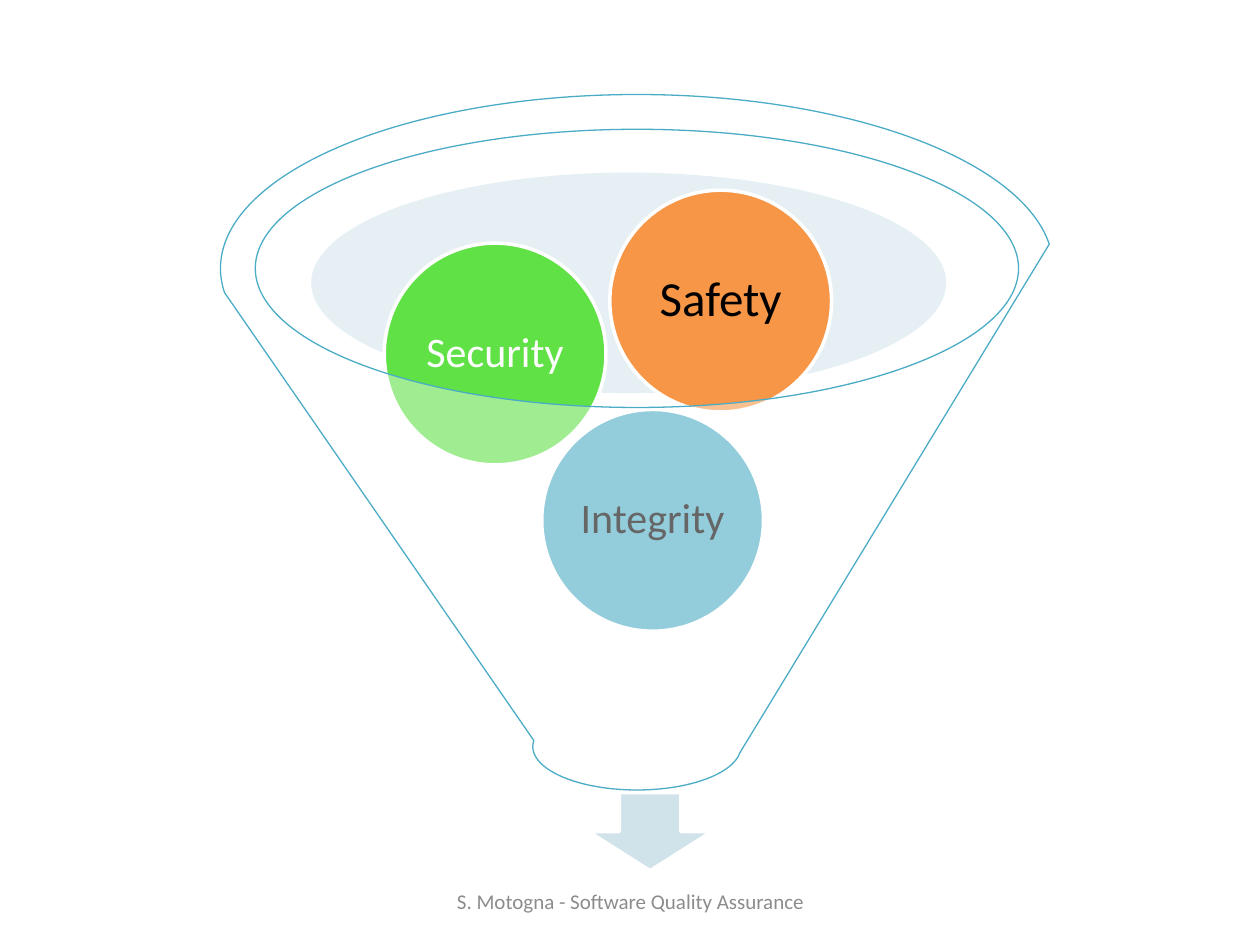
from lxml import etree
from pptx import Presentation
from pptx.dml.color import RGBColor
from pptx.enum.shapes import MSO_SHAPE as Shape
from pptx.enum.text import MSO_ANCHOR as Anchor, PP_ALIGN as Align
from pptx.oxml.ns import qn
from pptx.util import Inches, Pt

COLORS = {
    "white": "FFFFFF", "black": "000000", "gray": "8C8C8C",
    "teal": "4BACC6", "green": "60E146", "orange": "F79646",
    "mouth": "C1DBE5", "arrow": "D0E3EA",
}

presentation = Presentation()
presentation.slide_width, presentation.slide_height = Inches(10), Inches(7.5)
slide = presentation.slides.add_slide(presentation.slide_layouts[6])


def add_shape(kind, box, fill, line=None, line_width=2, opacity=100):
    shape = slide.shapes.add_shape(kind, *[Inches(value) for value in box])
    shape.shadow.inherit = False
    shape.fill.solid()
    shape.fill.fore_color.rgb = RGBColor.from_string(COLORS[fill])
    if opacity < 100:
        color = shape.fill._xPr.find(qn("a:solidFill"))[0]
        etree.SubElement(color, qn("a:alpha"), val=str(opacity * 1000))
    if line:
        shape.line.color.rgb = RGBColor.from_string(COLORS[line])
        shape.line.width = Pt(line_width)
    else:
        shape.line.fill.background()
    return shape


def write_text(shape, text, size, color):
    frame = shape.text_frame
    frame.text = text
    frame.word_wrap = True
    frame.vertical_anchor = Anchor.MIDDLE
    paragraph = frame.paragraphs[0]
    paragraph.alignment = Align.CENTER
    font = paragraph.runs[0].font
    font.name, font.size = "Calibri", Pt(size)
    font.color.rgb = RGBColor.from_string(COLORS[color])
    return frame


# Funnel mouth and outlet arrow
add_shape(Shape.OVAL, (2.47, 1.37, 5.04, 1.75), "mouth", opacity=40)
add_shape(Shape.DOWN_ARROW, (4.67, 6.29, 0.98, 0.62), "arrow", "white")

# Balls falling into the funnel
diameter = 1.76
balls = [
    ("Integrity", 4.3, 3.25, "teal", 24, "black", 0.03),
    ("Security", 3.05, 1.93, "green", 24, "white", 0.03),
    ("Safety", 4.84, 1.51, "orange", 28, "black", 0.04),
]
for label, left, top, fill, size, text_color, inset in balls:
    ball = add_shape(Shape.OVAL, (left, top, diameter, diameter), fill, "white")
    frame = write_text(ball, label, size, text_color)
    frame.margin_left = frame.margin_right = Inches(inset)
    frame.margin_top = frame.margin_bottom = Inches(inset)
    frame.paragraphs[0].line_spacing = 0.9

# Translucent funnel in front
add_shape(Shape.FUNNEL, (1.75, 0.75, 6.61, 5.52), "white", "teal", 0.75, 40)

# Footer
footer = slide.shapes.add_textbox(Inches(3.42), Inches(6.95), Inches(3.17), Inches(0.4))
write_text(footer, "S. Motogna - Software Quality Assurance", 12, "gray")

presentation.save("out.pptx")
